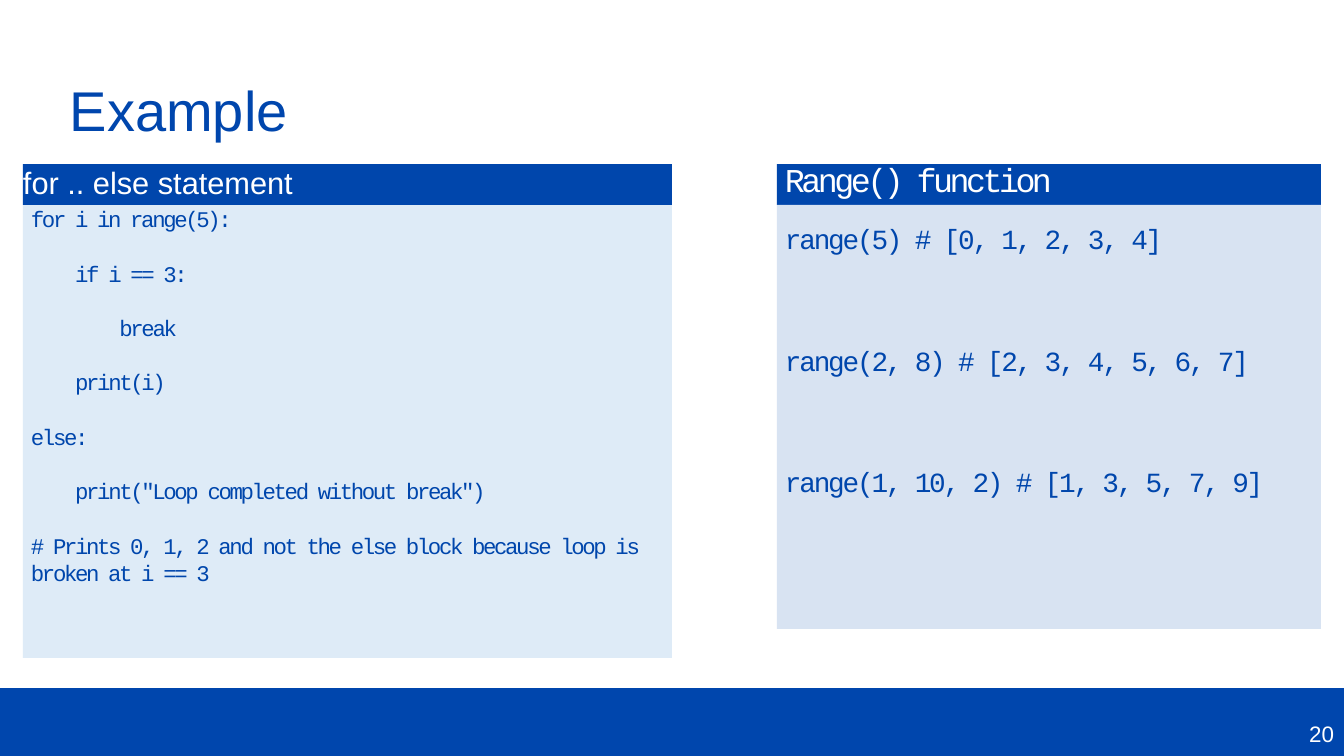
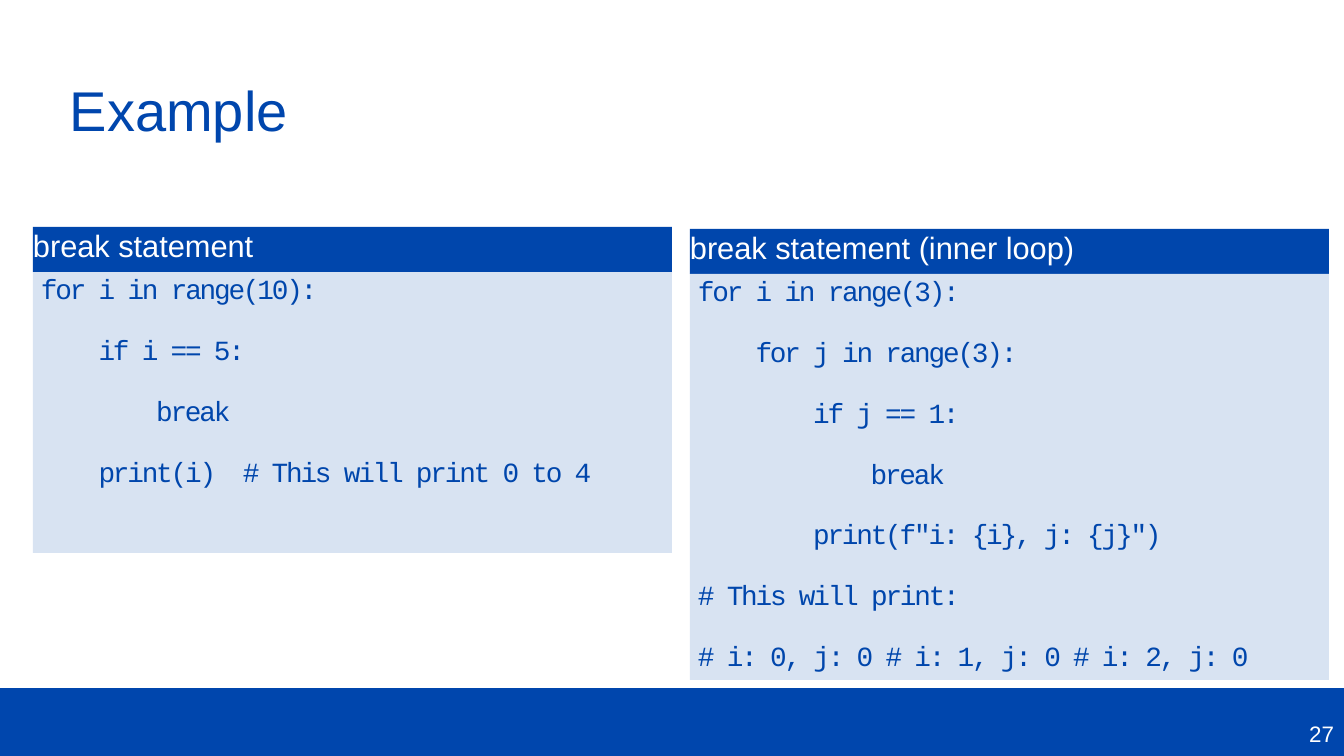
from pptx import Presentation
from pptx import util as u
from pptx.dml.color import RGBColor
from pptx.enum import shapes, text

PX = 914400 / 100.8
WIDTH, HEIGHT = 1344, 756
BAND_TOP = 688
CODE_INDENT = 8

COLORS = {
    "brand": "0046AD",
    "code": "0046AC",
    "panel": "D8E3F2",
    "pale_panel": "DEEBF7",
    "white": "FFFFFF",
}

HEADING = dict(size=22, color="white")
CODE_HEADING = dict(size=23.8, color="white", font="Courier New", tracking=-2.5,
                    line=u.Pt(24.8), indent=CODE_INDENT)
CODE = dict(size=19.8, color="code", font="Courier New", tracking=-1.6,
            line=u.Pt(23.8), before=19.6, indent=CODE_INDENT)
SMALL_CODE = {**CODE, "size": 16, "tracking": -1.7, "line": u.Pt(19.3)}
SPACED_CODE = {**CODE, "before": 63}

FOR_ELSE = """for i in range(5):
    if i == 3:
        break
    print(i)
else:
    print("Loop completed without break")
# Prints 0, 1, 2 and not the else block because loop is broken at i == 3"""

RANGES = """range(5) # [0, 1, 2, 3, 4]
range(2, 8) # [2, 3, 4, 5, 6, 7]
range(1, 10, 2) # [1, 3, 5, 7, 9]"""

BREAK = """for i in range(10):
    if i == 5:
        break
    print(i)  # This will print 0 to 4"""

INNER_BREAK = """for i in range(3):
    for j in range(3):
        if j == 1:
            break
        print(f"i: {i}, j: {j}")
# This will print:
# i: 0, j: 0 # i: 1, j: 0 # i: 2, j: 0"""


def px(length):
    return u.Emu(round(length * PX))


def rgb(name):
    return RGBColor.from_string(COLORS[name])


def write(shape, content, size, color, font="Arial", tracking=0, line=None, before=0,
          indent=0, align=text.PP_ALIGN.LEFT, anchor=text.MSO_ANCHOR.TOP,
          insets=(0, 0, 0, 0)):
    """Write one paragraph a line; leading spaces become a left margin."""
    frame = shape.text_frame
    frame.word_wrap = True
    frame.vertical_anchor = anchor
    (frame.margin_left, frame.margin_top,
     frame.margin_right, frame.margin_bottom) = map(px, insets)
    char_width = u.Pt(0.6 * size + tracking)
    for number, row in enumerate(content.splitlines()):
        paragraph = frame.add_paragraph() if number else frame.paragraphs[0]
        words = row.lstrip()
        margin = px(indent) + (len(row) - len(words)) * char_width
        properties = paragraph._p.get_or_add_pPr()
        properties.set("marL", str(margin))
        properties.set("indent", "0")
        paragraph.alignment = align
        paragraph.space_before = u.Pt(before)
        if line:
            paragraph.line_spacing = line
        run = paragraph.add_run()
        run.text = words
        run.font.name = font
        run.font.size = u.Pt(size)
        run.font.color.rgb = rgb(color)
        if tracking:
            run._r.get_or_add_rPr().set("spc", str(round(tracking * 100)))


def add_block(parent, box, fill):
    block = parent.shapes.add_shape(shapes.MSO_SHAPE.RECTANGLE, *map(px, box))
    block.shadow.inherit = False
    block.fill.solid()
    block.fill.fore_color.rgb = rgb(fill)
    block.line.fill.background()
    return block


def add_panel(slide, heading, code, box, heading_height, heading_style=HEADING,
              code_style=CODE, fill="panel", code_inset=0):
    """Group a heading bar with the code block that starts at its lower edge."""
    left, top, width, height = box
    panel = slide.shapes.add_group_shape()
    bar = add_block(panel, (left, top, width, heading_height), "code")
    write(bar, heading, **heading_style)
    body = add_block(panel, (left, top + heading_height, width, height - heading_height),
                     fill)
    write(body, code, insets=(0, code_inset, 0, 0), **code_style)


def add_example_slide(deck, page):
    """Add a slide with the shared title, footer band and page number."""
    slide = deck.slides.add_slide(deck.slide_layouts[6])
    band = add_block(slide, (0, BAND_TOP, WIDTH, HEIGHT - BAND_TOP), "brand")
    write(band, str(page), size=16, color="white", align=text.PP_ALIGN.RIGHT,
          anchor=text.MSO_ANCHOR.BOTTOM, insets=(10, 5, 10, 9))
    title = slide.shapes.add_textbox(*map(px, (60, 39, 1193, 149)))
    write(title, "Example", size=40, color="brand", line=0.9,
          anchor=text.MSO_ANCHOR.MIDDLE, insets=(10, 5, 10, 5))
    return slide


def main():
    deck = Presentation()
    deck.slide_width, deck.slide_height = px(WIDTH), px(HEIGHT)

    loops = add_example_slide(deck, 20)
    add_panel(loops, "for .. else statement", FOR_ELSE, (23, 164, 649, 494), 41,
              code_style=SMALL_CODE, fill="pale_panel")
    add_panel(loops, "Range() function", RANGES, (777, 164, 544, 465), 41,
              heading_style=CODE_HEADING, code_style=SPACED_CODE, code_inset=17)

    breaks = add_example_slide(deck, 27)
    add_panel(breaks, "break statement", BREAK, (33, 227, 639, 326), 45)
    add_panel(breaks, "break statement (inner loop)", INNER_BREAK,
              (690, 229, 639, 451), 45)

    deck.save("out.pptx")


if __name__ == "__main__":
    main()
